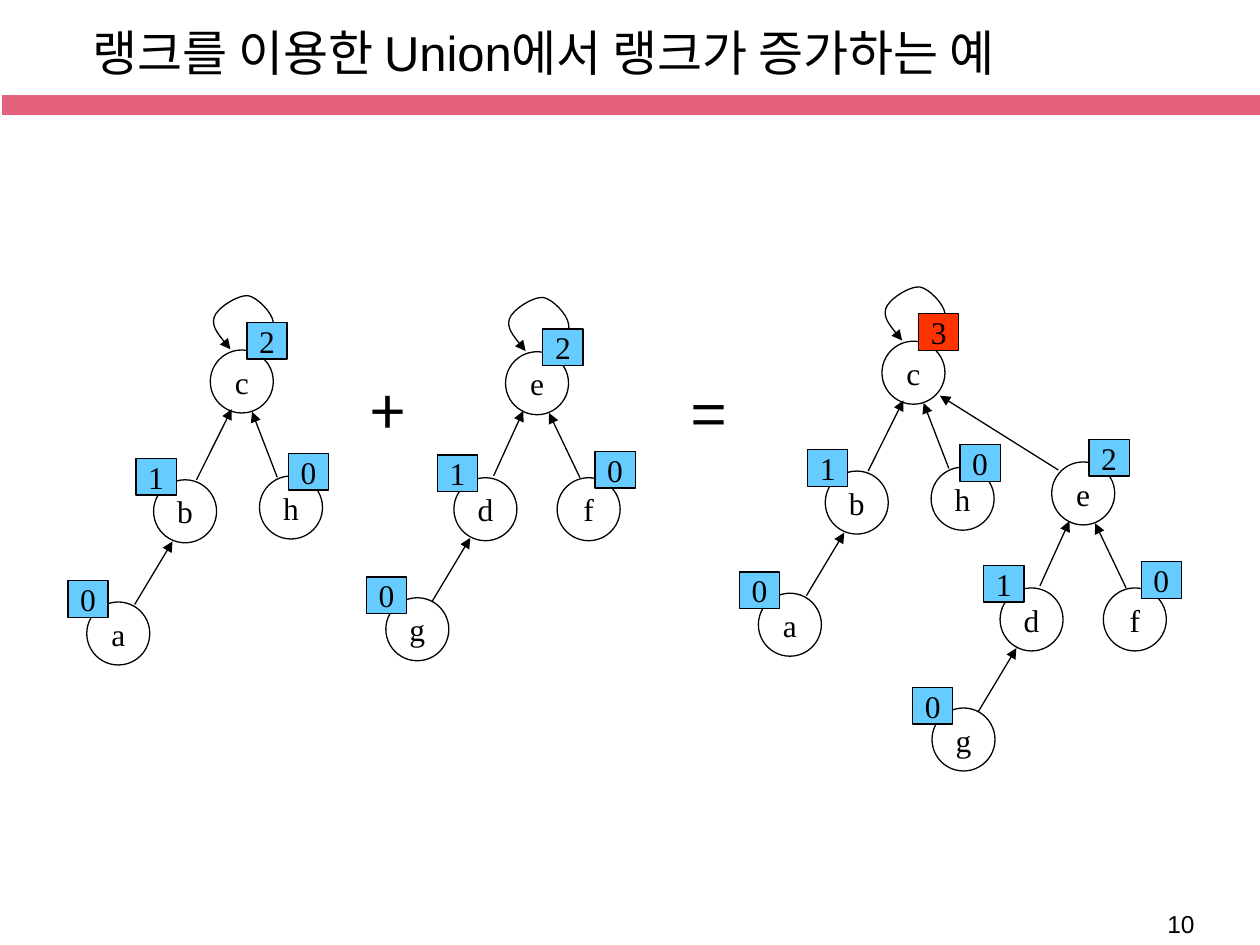
from pptx import Presentation
from pptx.dml.color import RGBColor
from pptx.enum import shapes, text
from pptx.oxml import ns
from pptx.util import Pt
from lxml import etree

BLACK = RGBColor(0, 0, 0)
WHITE = RGBColor(255, 255, 255)
PINK = RGBColor(0xE4, 0x62, 0x7B)
SKY = RGBColor(0x66, 0xCC, 0xFF)
RED = RGBColor(0xFF, 0x33, 0x00)
SANS, SERIF, KOREAN = "Arial", "Times New Roman", "Noto Sans CJK KR"

TITLE = "랭크를 이용한 Union에서 랭크가 증가하는 예"
NODE_SIZE = (36, 36)
RANK_SIZE = (23, 21)

# All places in a tree are measured from the top left of its root node.
# (label, node place, rank, rank place, arrow to parent as (from, to))
TREE_C = [
    ("c", (0, 0), 2, (20.9, -15.8), None),
    ("b", (-32.4, 74.2), 1, (-42.5, 61.9), ((-7.9, 74.2), (12.2, 33.8))),
    ("h", (28.1, 72), 0, (44.6, 59), ((38.2, 72.7), (23.8, 35.3))),
    ("a", (-70.6, 144), 0, (-81.4, 131.8), ((-43.2, 145.4), (-21.6, 109.4))),
]
TREE_E = [
    ("e", (0, 0), 2, (21.3, -13), None),
    ("d", (-29.5, 72), 1, (-38.9, 59), ((-6.8, 70.9), (10.1, 33.8))),
    ("f", (29.5, 72), 0, (51.1, 56.9), ((42.5, 72), (24.8, 35))),
    ("g", (-68.4, 140.6), 0, (-79.5, 128.7), ((-41.8, 142.4), (-20.2, 106.4))),
]
# Start point, then two control points and an end point for each curve
ROOT_LOOP = [
    (26.6, 2.5),
    (31.7, -3.6), (37.4, -10), (36, -15.8),
    (35.3, -21.6), (26.6, -30.2), (21.6, -31),
    (15.8, -31.7), (3.6, -23.8), (2.2, -18.7),
    (0.7, -13.7), (5.8, -7.2), (11.5, -0.4),
]

# (tree, root place, is a root of the forest, root rank after the union)
FOREST = [
    (TREE_C, (120.2, 200), True, None),
    (TREE_E, (288.9, 201), True, None),
    (TREE_C, (504, 195), True, 3),
    (TREE_E, (601, 264), False, None),
]
UNION_ARROW = ((604.8, 268.6), (537.1, 226.1))
OPERATORS = [("+", (204.5, 209.5)), ("=", (388, 211))]

prs = Presentation()
prs.slide_width, prs.slide_height = Pt(720), Pt(540)
slide = prs.slides.add_slide(prs.slide_layouts[6])


def shifted(point, origin):
    return point[0] + origin[0], point[1] + origin[1]


def write(shape, words, size, font, align, anchor, wrap=False):
    frame = shape.text_frame
    frame.word_wrap = wrap
    frame.vertical_anchor = anchor
    paragraph = frame.paragraphs[0]
    paragraph.alignment = align
    run = paragraph.add_run()
    run.text = words
    run.font.size = Pt(size)
    run.font.name = font
    run.font.color.rgb = BLACK


def add_box(kind, place, size, fill=None, line=BLACK, weight=0.75):
    box = slide.shapes.add_shape(kind, *map(Pt, (*place, *size)))
    box.shadow.inherit = False
    if fill is None:
        box.fill.background()
    else:
        box.fill.solid()
        box.fill.fore_color.rgb = fill
    box.line.color.rgb = line
    box.line.width = Pt(weight)
    return box


def add_label(kind, place, size, words, fill=None):
    write(add_box(kind, place, size, fill), words, 18, SERIF,
          text.PP_ALIGN.CENTER, text.MSO_ANCHOR.MIDDLE)


def add_text(place, size, words, points, font, anchor):
    box = slide.shapes.add_textbox(*map(Pt, (*place, *size)))
    write(box, words, points, font, text.PP_ALIGN.LEFT, anchor, wrap=True)


def style_arrow(line):
    line.color.rgb = BLACK
    line.width = Pt(0.75)
    etree.SubElement(line._get_or_add_ln(), ns.qn("a:tailEnd"), type="triangle")


def add_arrow(ends, origin=(0, 0)):
    start, end = (shifted(point, origin) for point in ends)
    arrow = slide.shapes.add_connector(
        shapes.MSO_CONNECTOR.STRAIGHT, *map(Pt, (*start, *end)))
    style_arrow(arrow.line)
    etree.SubElement(arrow._element.spPr, ns.qn("a:effectLst"))


def add_loop(origin):
    """Draw the curved arrow from a root to itself."""
    points = [tuple(map(Pt, shifted(p, origin))) for p in ROOT_LOOP]
    builder = slide.shapes.build_freeform(*points[0])
    builder.add_line_segments(points[1:], close=False)
    loop = builder.convert_to_shape()
    loop.shadow.inherit = False
    loop.fill.background()
    style_arrow(loop.line)
    # Every three straight segments become one cubic curve.
    segments = list(loop._element.iter(ns.qn("a:lnTo")))
    outline = segments[0].getparent()
    for i in range(0, len(segments), 3):
        curve = etree.SubElement(outline, ns.qn("a:cubicBezTo"))
        for segment in segments[i:i + 3]:
            curve.append(segment[0])
            outline.remove(segment)


def add_tree(tree, origin, is_root, new_rank):
    if is_root:
        add_loop(origin)
    for label, place, _, _, arrow in tree:
        add_label(shapes.MSO_SHAPE.OVAL, shifted(place, origin), NODE_SIZE, label)
        if arrow:
            add_arrow(arrow, origin)
    for _, _, rank, place, arrow in tree:
        raised = new_rank is not None and arrow is None
        add_label(shapes.MSO_SHAPE.RECTANGLE, shifted(place, origin), RANK_SIZE,
                  str(new_rank if raised else rank), RED if raised else SKY)


add_box(shapes.MSO_SHAPE.RECTANGLE, (0.5, 54), (720, 12), PINK, WHITE, 1)
add_text((660, 516), (41, 24), "10", 14, SANS, text.MSO_ANCHOR.TOP)
add_text((45.5, 0.5), (589, 58.5), TITLE, 28, SANS, text.MSO_ANCHOR.MIDDLE)
for branch in FOREST:
    add_tree(*branch)
add_arrow(UNION_ARROW)
for symbol, place in OPERATORS:
    sign = add_box(shapes.MSO_SHAPE.RECTANGLE, place, (36.5, 50.5), line=WHITE)
    write(sign, symbol, 36, KOREAN, text.PP_ALIGN.LEFT, text.MSO_ANCHOR.TOP)

prs.save("out.pptx")
